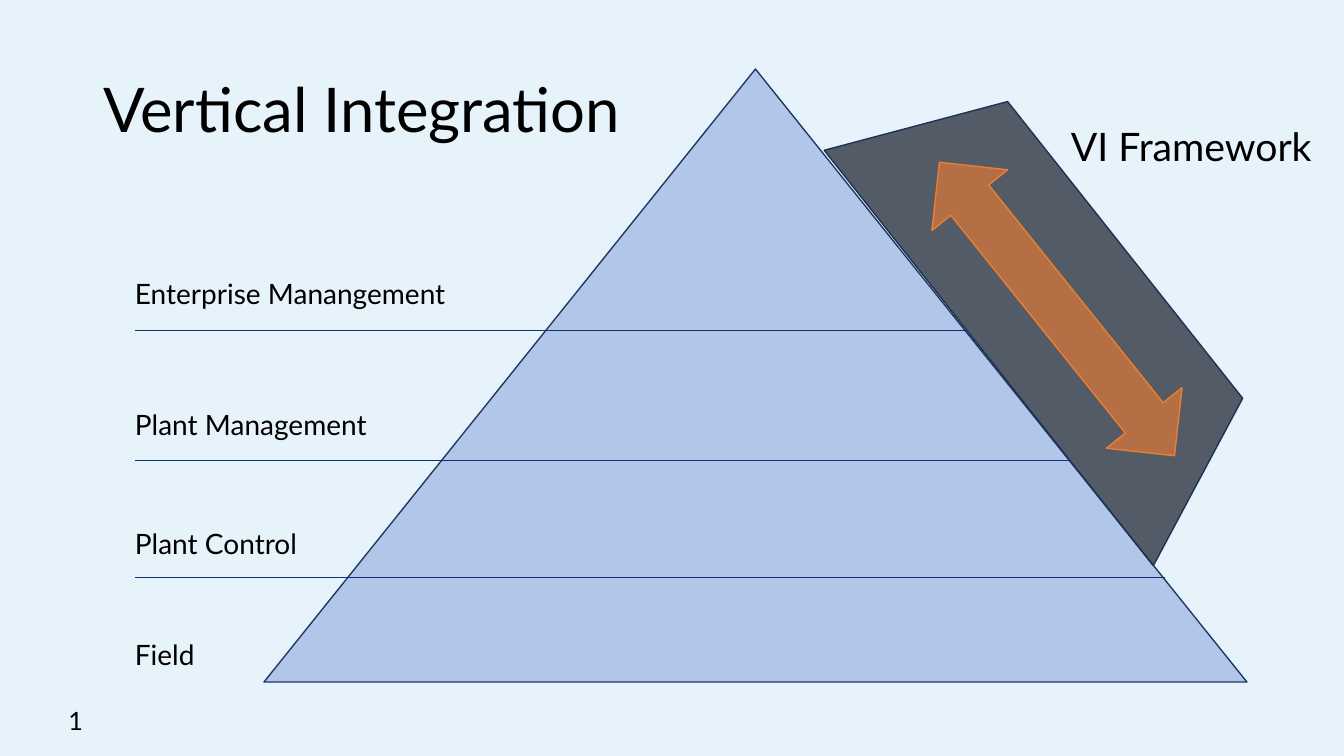
import lxml.etree
import pptx
import pptx.dml.color
import pptx.enum.shapes
import pptx.enum.text
import pptx.oxml
import pptx.oxml.ns
import pptx.util

RGBColor = pptx.dml.color.RGBColor
Shapes = pptx.enum.shapes.MSO_SHAPE
Align = pptx.enum.text.PP_ALIGN
Anchor = pptx.enum.text.MSO_ANCHOR

SKY = RGBColor(0xE7, 0xF3, 0xFB)
PYRAMID_BLUE = RGBColor(0x8F, 0xAA, 0xDC)
PYRAMID_EDGE = RGBColor(0x20, 0x38, 0x64)
RULE_BLUE = RGBColor(0x0F, 0x32, 0x77)
SLATE = RGBColor(0x22, 0x2A, 0x35)
SLATE_EDGE = RGBColor(0x1E, 0x32, 0x56)
ORANGE = RGBColor(0xED, 0x7D, 0x31)
BLACK = RGBColor(0, 0, 0)

PX_PER_INCH = 100.8
FONT = "Lato"
LEVELS = [
    ("Enterprise Manangement", 272, 330),
    ("Plant Management", 403, 460),
    ("Plant Control", 522, 577),
    ("Field", 633, None),
]


def px(length):
    """Turn a length in px into EMU."""
    return pptx.util.Emu(round(length * 914400 / PX_PER_INCH))


def place(item, box):
    """Move an item to a box of left, top, width and height."""
    for name, length in zip(("left", "top", "width", "height"), box):
        setattr(item, name, px(length))


def style_text(holder, size, align=Align.LEFT, anchor=Anchor.TOP, spacing=1.0):
    """Format the only paragraph of a text holder."""
    frame = holder.text_frame
    frame.word_wrap = True
    frame.vertical_anchor = anchor
    para = frame.paragraphs[0]
    para.alignment = align
    para.line_spacing = spacing
    for name, value in {"name": FONT, "size": pptx.util.Pt(size)}.items():
        setattr(para.font, name, value)
    para.font.color.rgb = BLACK


def add_label(page, box, text, size):
    """Add a text box with one line of text."""
    label = page.shapes.add_textbox(*map(px, box))
    label.text_frame.text = text
    style_text(label, size)


def add_solid(shapes, kind, box, fill, opacity, edge, rotation=0):
    """Add a translucent preset shape with a thin outline."""
    solid = shapes.add_shape(kind, *map(px, box))
    solid.rotation = rotation
    solid.shadow.inherit = False
    solid.fill.solid()
    solid.fill.fore_color.rgb = fill
    color = solid.fill._xPr.find(".//" + pptx.oxml.ns.qn("a:srgbClr"))
    alpha = lxml.etree.SubElement(color, pptx.oxml.ns.qn("a:alpha"))
    alpha.set("val", str(opacity * 1000))
    solid.line.color.rgb = edge
    solid.line.width = pptx.util.Pt(1)
    return solid


def add_title(page, box):
    """Fill and place the slide title."""
    title = page.shapes.title
    place(title, box)
    title.text_frame.text = "Vertical Integration"
    style_text(title, 44, anchor=Anchor.MIDDLE, spacing=0.9)


def add_pyramid(page, box, label_left):
    """Draw the pyramid with its level labels and dividing lines."""
    left, top, width, height = box
    inset, overhang = 10, 2
    add_solid(page.shapes, Shapes.ISOSCELES_TRIANGLE, box,
              PYRAMID_BLUE, 61, PYRAMID_EDGE)
    for name, label_top, rule_y in LEVELS:
        add_label(page, (label_left, label_top, 418, 44), name, 20)
        if rule_y is None:
            continue
        side = left + width / 2 * (1 + (rule_y - top) / height)
        rule = page.shapes.add_connector(
            pptx.enum.shapes.MSO_CONNECTOR.STRAIGHT, px(label_left + inset),
            px(rule_y), px(side + overhang), px(rule_y))
        rule.line.color.rgb = RULE_BLUE
        rule.line.width = pptx.util.Pt(0.5)
        lxml.etree.SubElement(rule._element.spPr, pptx.oxml.ns.qn("a:effectLst"))


def add_framework(page, box):
    """Draw the tilted framework band, its double arrow and its label."""
    left, top, width, height = box
    group = page.shapes.add_group_shape()
    band = add_solid(group.shapes, Shapes.TRAPEZOID, box,
                     SLATE, 75, SLATE_EDGE, 51.6)
    band.adjustments[0] = 0.435
    arrow_width, arrow_height = 97, 376
    arrow_box = (left + (width - arrow_width) / 2,
                 top + (height - arrow_height) / 2 + 5, arrow_width, arrow_height)
    add_solid(group.shapes, Shapes.UP_DOWN_ARROW, arrow_box,
              ORANGE, 63, ORANGE, 321.3)
    add_label(page, (left + 269, top - 100, 277, 57), "VI Framework", 28)


def add_page_number(page, box):
    """Add the slide number as a field."""
    number = page.shapes.add_textbox(*map(px, box))
    style_text(number, 18, align=Align.RIGHT, spacing=0.9)
    para = number.text_frame.paragraphs[0]
    span = para.add_run()
    span.text = "1"
    span.font.size = pptx.util.Pt(18)
    span.font.name = FONT
    span.font.color.rgb = BLACK
    span._r.tag = pptx.oxml.ns.qn("a:fld")
    span._r.set("id", "{B6F15528-21DE-4FAA-801E-634DDDAF4B2B}")
    span._r.set("type", "slidenum")


def main():
    """Build the slide and save the deck."""
    deck = pptx.Presentation()
    deck.slide_width, deck.slide_height = px(1344), px(756)
    page = deck.slides.add_slide(deck.slide_layouts.get_by_name("Title Only"))
    page.background.fill.solid()
    page.background.fill.fore_color.rgb = SKY
    add_title(page, (93, 40, 1159, 146))
    add_pyramid(page, (264, 69, 983, 613), 125)
    add_framework(page, (792, 217, 530, 174))
    add_page_number(page, (0, 704, 93, 55))
    deck.save("out.pptx")


if __name__ == "__main__":
    main()
